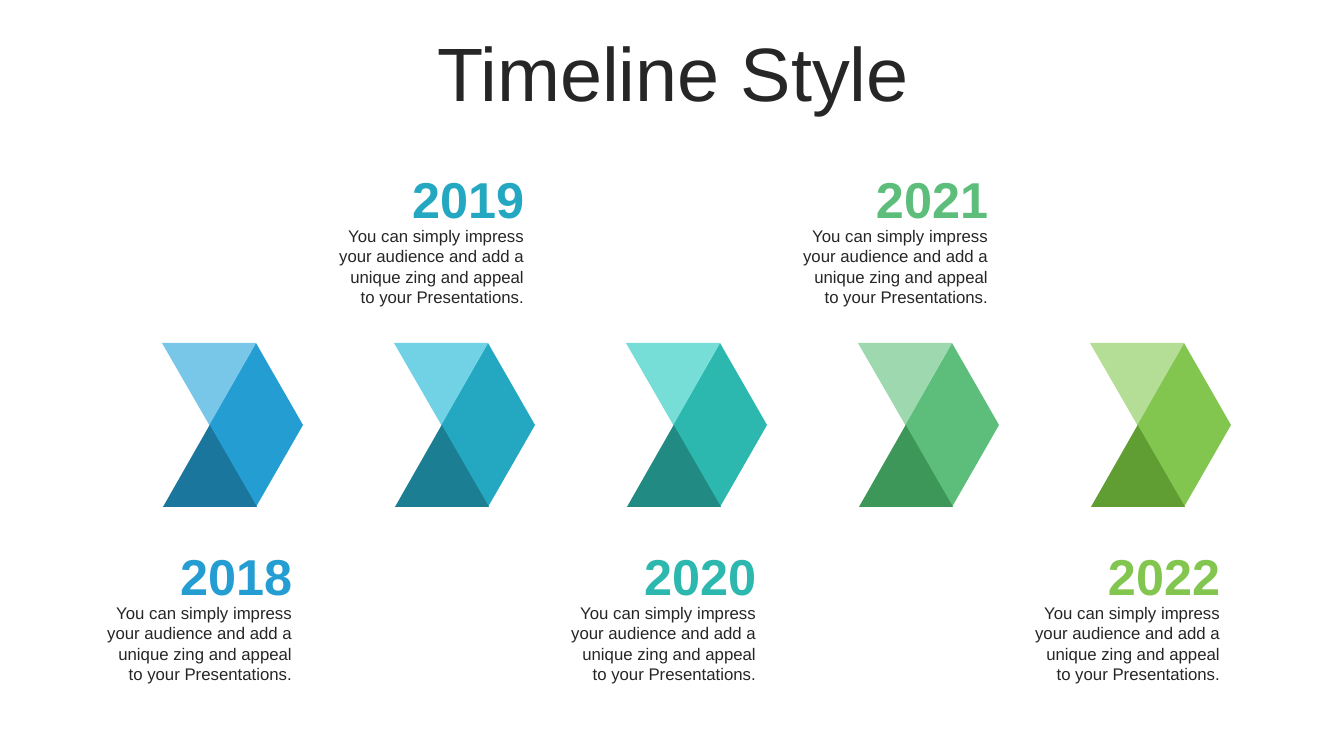
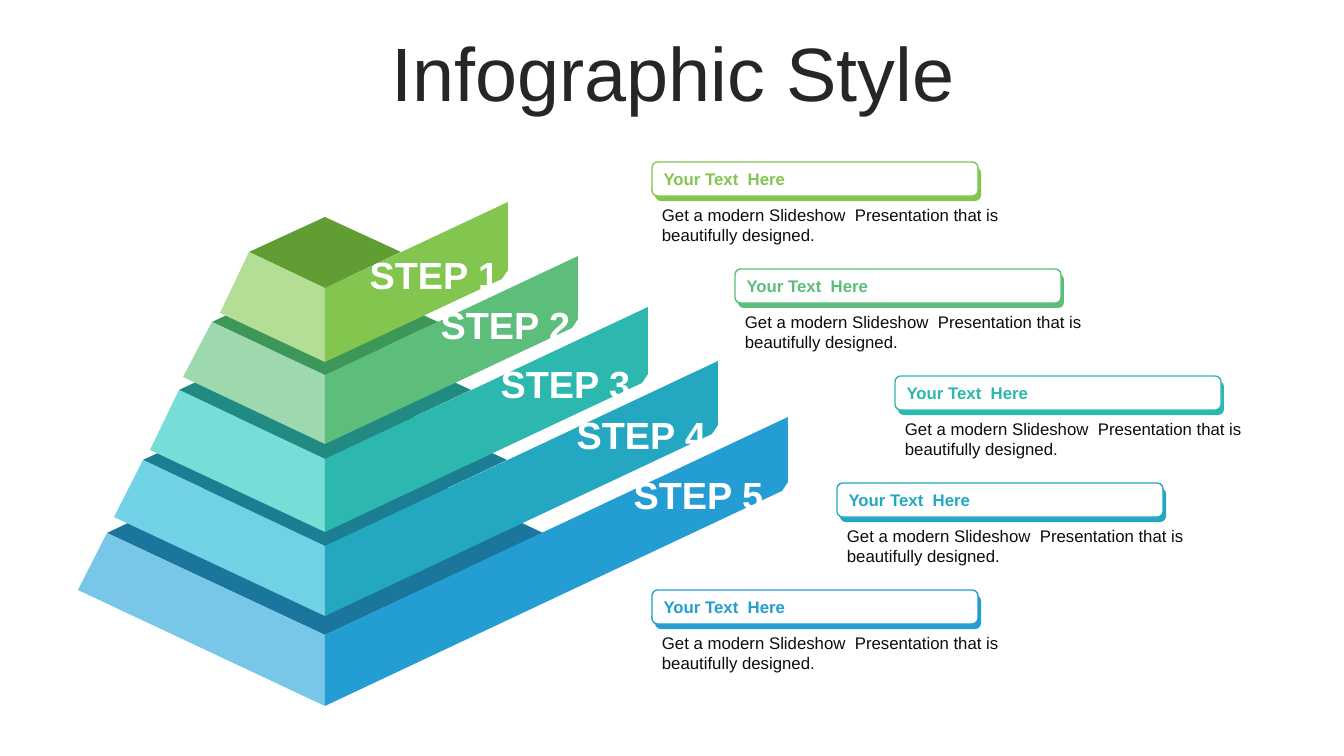
import pptx
import pptx.util
import pptx.dml.color
import pptx.enum.shapes
import pptx.enum.text

RGBColor = pptx.dml.color.RGBColor
SHAPE = pptx.enum.shapes.MSO_SHAPE
ALIGN = pptx.enum.text.PP_ALIGN
ANCHOR = pptx.enum.text.MSO_ANCHOR

# Shared style
PX = 914400 / 100.8
SLIDE_SIZE = (1344, 756)
TITLE_BOX = (35, 37, 1276, 80)
FONT = "Arial"
INK = RGBColor.from_string("262626")
NEAR_BLACK = RGBColor.from_string("0D0D0D")
WHITE = RGBColor.from_string("FFFFFF")


def make_hue(*codes):
    return [RGBColor.from_string(code) for code in codes]


# Each hue: main, light, dark
BLUE = make_hue("249ED2", "78C6E8", "1B769D")
CYAN = make_hue("24A8C2", "71D2E5", "1B7E92")
TEAL = make_hue("2CB8AE", "76DED7", "218A83")
GREEN = make_hue("5CBE7A", "9DD8AF", "3C9758")
LIME = make_hue("82C650", "B4DD96", "609D33")

# Timeline content
TIMELINE_TITLE = "Timeline Style"
YEARS = [("2018", BLUE), ("2019", CYAN), ("2020", TEAL), ("2021", GREEN), ("2022", LIME)]
YEAR_TEXT = "You can simply impress your audience and add a unique zing and appeal to your Presentations."
CHEVRON_LEFT, CHEVRON_TOP, CHEVRON_PITCH = 162, 343, 232
FACE_WIDTH, FACE_HEIGHT = 94, 82
TRIANGLE_APEX = 0.497
YEAR_TOPS = (539, 162)  # below the chevrons, above the chevrons

# Pyramid content, top layer first:
# step, hue, front edge top and bottom, half width, step box corner, caption left
PYRAMID_TITLE = "Infographic Style"
CAPTION_HEAD = "Your Text  Here"
CAPTION_TEXT = "Get a modern Slideshow  Presentation that is beautifully designed."
LAYERS = [
    ("STEP 1", LIME, (288, 362), 76, (331, 247), 652),
    ("STEP 2", GREEN, (375, 444), 113, (402, 297), 735),
    ("STEP 3", TEAL, (459, 532), 146, (462, 356), 895),
    ("STEP 4", CYAN, (546, 616), 182, (538, 407), 837),
    ("STEP 5", BLUE, (635, 706), 218, (595, 467), 652),
]
AXIS = 325         # x of the front edge
SLOPE = 0.47       # fall of every slanted edge
FLARE = 29         # how far a left face widens towards its base
TAB_RIGHT, TAB_PITCH = 508, 70
TAB_ROUND = 6
CAPTION_TOP, CAPTION_PITCH = 162, 107


def emu(*lengths):
    return [round(length * PX) for length in lengths]


def paint(shape, fill, line=None):
    shape.shadow.inherit = False
    shape.fill.solid()
    shape.fill.fore_color.rgb = fill
    if line is None:
        shape.line.fill.background()
    else:
        shape.line.color.rgb = line
        shape.line.width = pptx.util.Pt(1)


def add_preset(page, kind, box, fill, line=None):
    shape = page.shapes.add_shape(kind, *emu(*box))
    paint(shape, fill, line)
    return shape


def add_face(page, points, fill):
    builder = page.shapes.build_freeform(*points[0], scale=PX)
    builder.add_line_segments(points[1:], close=True)
    paint(builder.convert_to_shape(), fill)


def write(shape, text, size, color, align=ALIGN.LEFT, bold=False, anchor=ANCHOR.TOP):
    frame = shape.text_frame
    frame.word_wrap = True
    frame.vertical_anchor = anchor
    para = frame.paragraphs[0]
    para.alignment = align
    span = para.add_run()
    span.text = text
    span.font.name = FONT
    span.font.size = pptx.util.Pt(size)
    span.font.bold = bold
    span.font.color.rgb = color
    return para


def add_text(page, box, *content, **style):
    return write(page.shapes.add_textbox(*emu(*box)), *content, **style)


def add_page(deck, title):
    page = deck.slides.add_slide(deck.slide_layouts[6])
    para = add_text(page, TITLE_BOX, title, 54, INK, align=ALIGN.CENTER, anchor=ANCHOR.MIDDLE)
    para.line_spacing = 0.9
    para.space_before = pptx.util.Pt(10)
    return page


def add_chevron(page, left, hue):
    main, light, dark = hue
    middle = CHEVRON_TOP + FACE_HEIGHT
    add_preset(page, SHAPE.DIAMOND,
               (left + FACE_WIDTH // 2, CHEVRON_TOP, FACE_WIDTH, 2 * FACE_HEIGHT), main)
    for x, y, fill, turn in ((left, CHEVRON_TOP, light, 180), (left + 1, middle, dark, 0)):
        triangle = add_preset(page, SHAPE.ISOSCELES_TRIANGLE,
                              (x, y, FACE_WIDTH, FACE_HEIGHT), fill)
        triangle.adjustments[0] = TRIANGLE_APEX
        triangle.rotation = turn


def build_timeline(deck):
    page = add_page(deck, TIMELINE_TITLE)
    for index, (year, hue) in enumerate(YEARS):
        left = CHEVRON_LEFT + index * CHEVRON_PITCH
        add_chevron(page, left, hue)
        right, top = left + 140, YEAR_TOPS[index % 2]
        add_text(page, (right - 188, top, 188, 72), year, 36, hue[0],
                 align=ALIGN.RIGHT, bold=True, anchor=ANCHOR.MIDDLE)
        add_text(page, (right - 212, top + 59, 212, 92), YEAR_TEXT, 12, INK, align=ALIGN.RIGHT)


def add_layer(page, hue, front, half, tab_right):
    main, light, dark = hue
    top, bottom = front

    def slant(x, y):
        """Point at x on the edge that rises from the front edge at height y."""
        return x, y - SLOPE * abs(x - AXIS)

    left_corner, right_corner = slant(AXIS - half, top), slant(AXIS + half, top)
    back = (AXIS, top - 2 * SLOPE * half)
    base_corner = slant(AXIS - half - FLARE, bottom)
    tab_base = slant(tab_right, bottom)
    add_face(page, [(AXIS, top), left_corner, back, right_corner], dark)
    add_face(page, [(AXIS, top), left_corner, base_corner, (AXIS, bottom)], light)
    add_face(page, [(AXIS, top), slant(tab_right, top),
                    (tab_right, tab_base[1] - TAB_ROUND),
                    slant(tab_right - TAB_ROUND, bottom), (AXIS, bottom)], main)


def add_caption(page, left, top, color):
    add_preset(page, SHAPE.ROUNDED_RECTANGLE, (left + 3, top + 5, 326, 34), color)
    label = add_preset(page, SHAPE.ROUNDED_RECTANGLE, (left, top, 326, 34), WHITE, color)
    write(label, CAPTION_HEAD, 12, color, bold=True, anchor=ANCHOR.MIDDLE)
    add_text(page, (left, top + 38, 358, 50), CAPTION_TEXT, 12, NEAR_BLACK)


def build_pyramid(deck):
    page = add_page(deck, PYRAMID_TITLE)
    # Layers stack from the base up
    for index, (step, hue, front, half, *rest) in reversed(list(enumerate(LAYERS))):
        add_layer(page, hue, front, half, TAB_RIGHT + index * TAB_PITCH)
    # Step names and captions
    for index, (step, hue, front, half, corner, caption_left) in enumerate(LAYERS):
        add_text(page, (*corner, 207, 56), step, 27, WHITE, align=ALIGN.CENTER, bold=True)
        add_caption(page, caption_left, CAPTION_TOP + index * CAPTION_PITCH, hue[0])


def main():
    deck = pptx.Presentation()
    deck.slide_width, deck.slide_height = emu(*SLIDE_SIZE)
    build_timeline(deck)
    build_pyramid(deck)
    deck.save("out.pptx")


if __name__ == "__main__":
    main()
